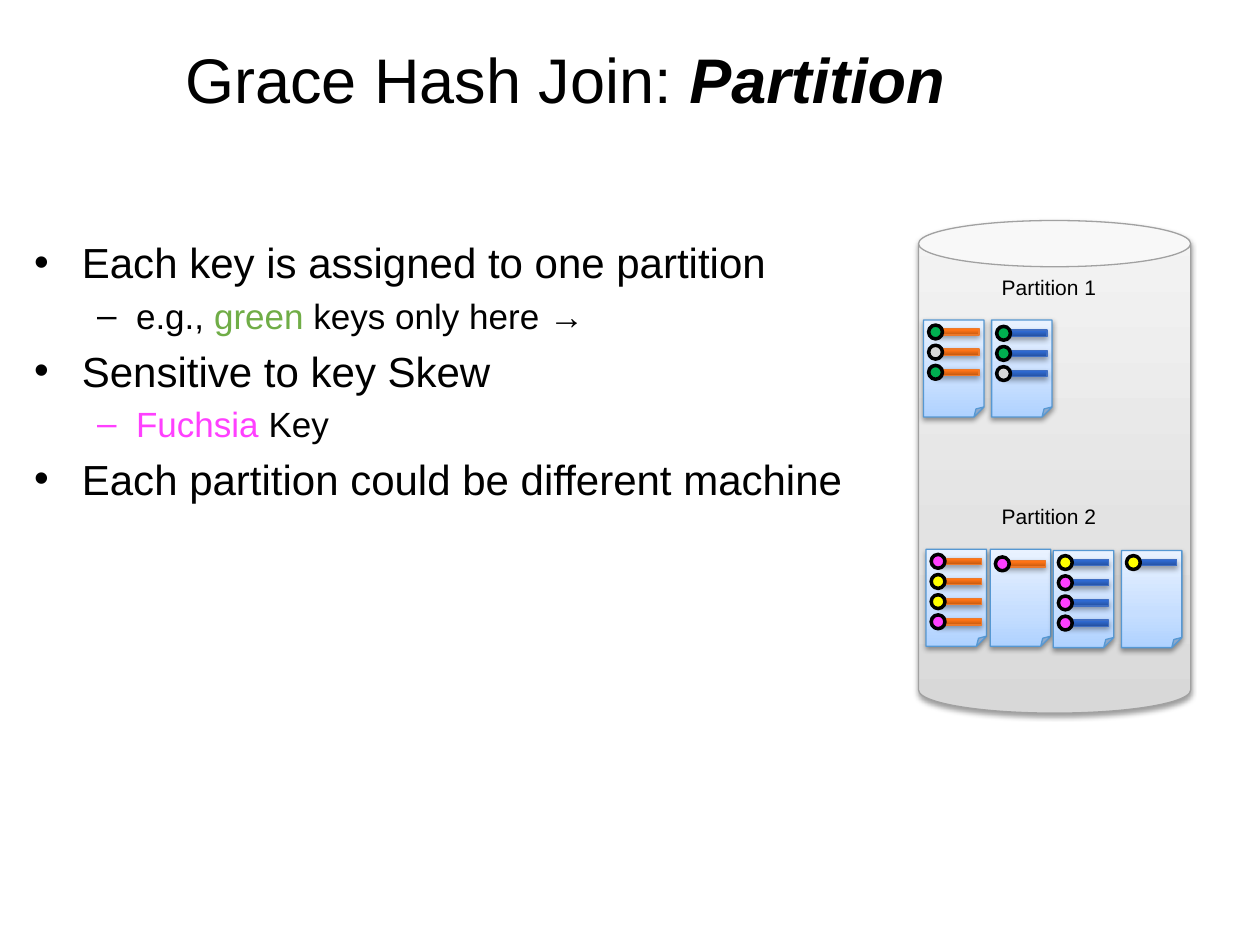
"""Build the slide on the partition step of a Grace hash join."""
from dataclasses import dataclass

from lxml.etree import SubElement
from pptx import Presentation
from pptx.dml.color import RGBColor
from pptx.enum.shapes import MSO_SHAPE as Kind
from pptx.enum.text import MSO_ANCHOR as Anchor, MSO_AUTO_SIZE as Fit, PP_ALIGN as Align
from pptx.oxml import parse_xml
from pptx.oxml.ns import nsdecls, qn
from pptx.util import Inches, Pt

BLACK, GREEN, GRAY, PINK, GOLD = "000000", "00B050", "D9D9D9", "FF40FF", "FFFF00"
STEP = 0.16


@dataclass
class Look:
    """Gradient stops, outline colour and shadow opacity of a shape."""
    stops: dict[int, str]
    edge: str
    shade: int


@dataclass
class Page:
    """A page of records that share one bar look."""
    left: float
    top: float
    look: Look
    keys: list[str]
    start: float = 0.04


@dataclass
class Item:
    """A list entry with its level and coloured words."""
    level: int
    words: list[tuple[str, str]]


DISK = Look({0: "D8D8D8", 35: "E3E3E3", 100: "F4F4F4"}, "A1A1A1", 38)
SHEET = Look({0: "AFD2FF", 35: "C6DEFF", 100: "E9F2FF"}, "5698D3", 38)
RUST = Look({0: "C3580F", 80: "FF7416", 100: "FF7517"}, "EC792B", 35)
BLUE = Look({0: "24509E", 80: "2F69D0", 100: "2C69D4"}, "3F6EC3", 35)

PAGES = [
    Page(7.33, 2.54, RUST, [GREEN, GRAY, GREEN]),
    Page(7.87, 2.54, BLUE, [GREEN, GREEN, GRAY], 0.05),
    Page(7.35, 4.36, RUST, [PINK, GOLD, GOLD, PINK]),
    Page(7.86, 4.36, RUST, [PINK], 0.06),
    Page(8.36, 4.37, BLUE, [GOLD, PINK, PINK, PINK]),
    Page(8.9, 4.37, BLUE, [GOLD]),
]
ITEMS = [
    Item(0, [("Each key is assigned to one partition", BLACK)]),
    Item(1, [("e.g., ", BLACK), ("green", "70AD47"), (" keys only here →", BLACK)]),
    Item(0, [("Sensitive to key Skew", BLACK)]),
    Item(1, [("Fuchsia", PINK), (" Key", BLACK)]),
    Item(0, [("Each partition could be different machine", BLACK)]),
]
LEVELS = [(24, 0.38, -0.38, 5), (20, 0.81, -0.31, 4)]


def color(code: str) -> RGBColor:
    """Turn a hex string into a colour."""
    return RGBColor.from_string(code)


def place(shape, left: float, top: float, width: float, height: float) -> None:
    """Move and size a shape in inches."""
    shape.left, shape.top = Inches(left), Inches(top)
    shape.width, shape.height = Inches(width), Inches(height)


def pad(frame, top: float = 0.05) -> None:
    """Set the insets of a text frame."""
    frame.margin_left = frame.margin_right = frame.margin_bottom = Inches(0.05)
    frame.margin_top = Inches(top)


def write(para, text: str, size: int, code: str = BLACK):
    """Add a formatted run to a paragraph."""
    run = para.add_run()
    run.text = text
    run.font.name, run.font.size = "Arial", Pt(size)
    run.font.color.rgb = color(code)
    return run


def draw(slide, kind, box: tuple[float, ...], look: Look):
    """Draw a shape with gradient, outline and shadow."""
    shape = slide.shapes.add_shape(kind, *map(Inches, box))
    grad = parse_xml(f'<a:gradFill {nsdecls("a")} rotWithShape="1"><a:gsLst/>'
                     '<a:lin ang="16200000" scaled="0"/></a:gradFill>')
    for spot, code in look.stops.items():
        stop = SubElement(grad[0], qn("a:gs"), pos=str(spot * 1000))
        SubElement(stop, qn("a:srgbClr"), val=code)
    props = shape._element.spPr
    props.insert(2, grad)
    shape.line.color.rgb = color(look.edge)
    shape.line.width = Pt(0.75)
    props.append(parse_xml(
        f'<a:effectLst {nsdecls("a")}><a:outerShdw blurRad="38100" dist="20000" '
        'dir="5400000" rotWithShape="0"><a:srgbClr val="000000">'
        f'<a:alpha val="{look.shade * 1000}"/></a:srgbClr></a:outerShdw></a:effectLst>'))
    return shape


def record(slide, left: float, top: float, look: Look, key: str) -> None:
    """Draw a record bar with its key dot."""
    draw(slide, Kind.RECTANGLE, (left + 0.06, top + 0.03, 0.34, 0.05), look)
    dot = slide.shapes.add_shape(Kind.OVAL, *map(Inches, (left, top, 0.11, 0.11)))
    dot.shadow.inherit = False
    dot.fill.solid()
    dot.fill.fore_color.rgb = color(key)
    dot.line.color.rgb = color(BLACK)
    dot.line.width = Pt(2)


def sheet(slide, page: Page) -> None:
    """Draw a page and its records."""
    draw(slide, Kind.FOLDED_CORNER, (page.left, page.top, 0.48, 0.77), SHEET)
    for row, key in enumerate(page.keys):
        top = page.top + page.start + row * STEP
        record(slide, page.left + 0.04, top, page.look, key)


def label(slide, text: str, top: float) -> None:
    """Write a partition name."""
    box = slide.shapes.add_textbox(*map(Inches, (7.9, top, 0.87, 0.29)))
    pad(box.text_frame)
    box.text_frame.word_wrap = False
    box.text_frame.auto_size = Fit.SHAPE_TO_FIT_TEXT
    write(box.text_frame.paragraphs[0], text, 12)


def head(shape) -> None:
    """Fill the title placeholder."""
    place(shape, 1.42, 0, 7.83, 1.25)
    frame = shape.text_frame
    pad(frame)
    frame.vertical_anchor = Anchor.MIDDLE
    para = frame.paragraphs[0]
    para.alignment = Align.LEFT
    write(para, "Grace Hash Join:", 36)
    run = write(para, " Partition", 36)
    run.font.bold = run.font.italic = True


def points(shape) -> None:
    """Fill the body placeholder with the list."""
    place(shape, 0.22, 1.76, 6.56, 5.58)
    frame = shape.text_frame
    pad(frame, 0.12)
    frame.auto_size = Fit.NONE
    for row, item in enumerate(ITEMS):
        para = frame.add_paragraph() if row else frame.paragraphs[0]
        size, left, hang, gap = LEVELS[item.level]
        para.level = item.level
        para.space_before = Pt(gap if row else 0)
        props = para._p.get_or_add_pPr()
        props.set("marL", str(Inches(left)))
        props.set("indent", str(Inches(hang)))
        for text, code in item.words:
            write(para, text, size, code)


def main() -> None:
    """Build and save the deck."""
    deck = Presentation()
    deck.slide_width, deck.slide_height = Inches(10), Inches(7.5)
    slide = deck.slides.add_slide(deck.slide_layouts[1])
    head(slide.shapes.title)
    points(slide.placeholders[1])
    disk = draw(slide, Kind.CAN, (7.29, 1.75, 2.16, 3.91), DISK)
    disk.adjustments[0] = 0.17
    for page in PAGES:
        sheet(slide, page)
    label(slide, "Partition 1", 2.13)
    label(slide, "Partition 2", 3.95)
    deck.save("out.pptx")


if __name__ == "__main__":
    main()
